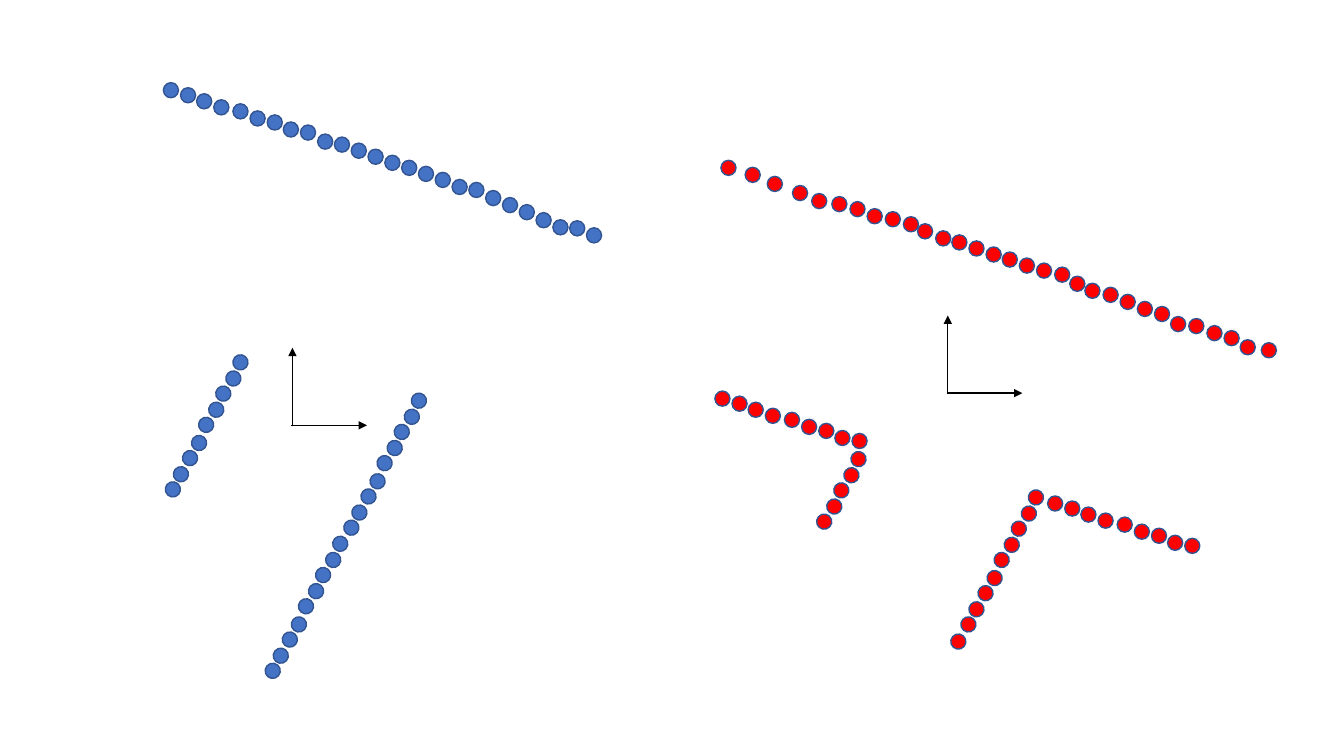
from lxml import etree
from pptx import Presentation
from pptx.dml.color import RGBColor
from pptx.enum import shapes
from pptx.oxml import ns
from pptx.util import Inches, Pt

COLORS = {"blue": "4472C4", "red": "FF0000", "outline": "325491", "axis": "000000"}
DOT = 0.15
STEEP_TURN = 280.9
GENTLE = [(0, 0), (0.17, 0.05), (0.33, 0.11), (0.5, 0.17), (0.69, 0.21),
          (0.86, 0.28), (1.03, 0.32), (1.19, 0.39), (1.36, 0.42)]
STEEP = [(0, 0), (0.08, -0.15), (0.17, -0.31), (0.26, -0.46), (0.33, -0.64),
         (0.43, -0.79), (0.5, -0.95), (0.6, -1.1), (0.67, -1.26)]
BLUE_WALL_TOPS = [1.33, 1.36, 1.42, 1.48, 1.54, 1.59, 1.65, 1.71, 1.78,
                  1.81, 1.89, 1.96, 2.03, 2.11, 2.18, 2.19, 2.26]
BLUE_WALL = [(3.15 + i / 6, top) for i, top in enumerate(BLUE_WALL_TOPS)]
RED_WALL = [(7.15, 1.59), (7.39, 1.66), (7.61, 1.75), (7.86, 1.84), (8.05, 1.92),
            (8.25, 1.95), (8.43, 2), (8.6, 2.07), (8.78, 2.1), (8.96, 2.15),
            (9.1, 2.22), (9.28, 2.29), (9.44, 2.33), (9.61, 2.39), (9.78, 2.45),
            (9.94, 2.5), (10.11, 2.56), (10.28, 2.61), (10.46, 2.65), (10.61, 2.74),
            (10.76, 2.81), (10.94, 2.85), (11.11, 2.92), (11.28, 2.99), (11.45, 3.04),
            (11.61, 3.14), (11.79, 3.16), (11.97, 3.23), (12.14, 3.28), (12.3, 3.37),
            (12.51, 3.4)]


def rgb(name):
    return RGBColor.from_string(COLORS[name])


def add_dots(group, points, color, left=0, top=0, turn=0):
    for x, y in points:
        sp = group.shapes.add_shape(shapes.MSO_SHAPE.OVAL, Inches(left + x),
                                    Inches(top + y), Inches(DOT), Inches(DOT))
        sp.rotation = turn
        sp.shadow.inherit = False
        sp.fill.solid()
        sp.fill.fore_color.rgb = rgb(color)
        sp.line.color.rgb = rgb("outline")
        sp.line.width = Pt(1)


def add_arrow(group, x1, y1, x2, y2):
    line = group.shapes.add_connector(shapes.MSO_CONNECTOR.STRAIGHT, Inches(x1),
                                      Inches(y1), Inches(x2), Inches(y2))
    line.line.color.rgb = rgb("axis")
    line.line.width = Pt(1)
    etree.SubElement(line.line._get_or_add_ln(), ns.qn("a:tailEnd"), type="triangle")
    etree.SubElement(line._element.spPr, ns.qn("a:effectLst"))


def add_axes(group, x, y):
    add_arrow(group, x - 0.01, y, x + 0.74, y)
    add_arrow(group, x, y + 0.01, x, y - 0.77)


def add_blue_scan(s):
    wall = s.shapes.add_group_shape()
    add_dots(wall, GENTLE, "blue", 1.62, 0.82)
    add_dots(wall, BLUE_WALL, "blue")
    for left, top in [(1.64, 4.78), (3.41, 5.16), (2.63, 6.58)]:
        add_dots(s.shapes.add_group_shape(), STEEP, "blue", left, top, STEEP_TURN)
    add_axes(s.shapes.add_group_shape(), 2.9, 4.22)


def add_red_scan(s):
    scan = s.shapes.add_group_shape()
    add_dots(scan, RED_WALL, "red")
    add_dots(scan, GENTLE, "red", 7.09, 3.88)
    add_dots(scan, STEEP[4:], "red", 7.77, 5.74, STEEP_TURN)
    add_dots(scan, [(-0.1, 0.17)] + STEEP, "red", 9.53, 6.12, STEEP_TURN)
    add_dots(scan, GENTLE, "red", 10.39, 4.92)
    add_axes(scan, 9.4, 3.9)


def main():
    prs = Presentation()
    prs.slide_width = Inches(13.33)
    prs.slide_height = Inches(7.5)
    s = prs.slides.add_slide(prs.slide_layouts[6])
    add_blue_scan(s)
    add_red_scan(s)
    prs.save("out.pptx")


if __name__ == "__main__":
    main()
